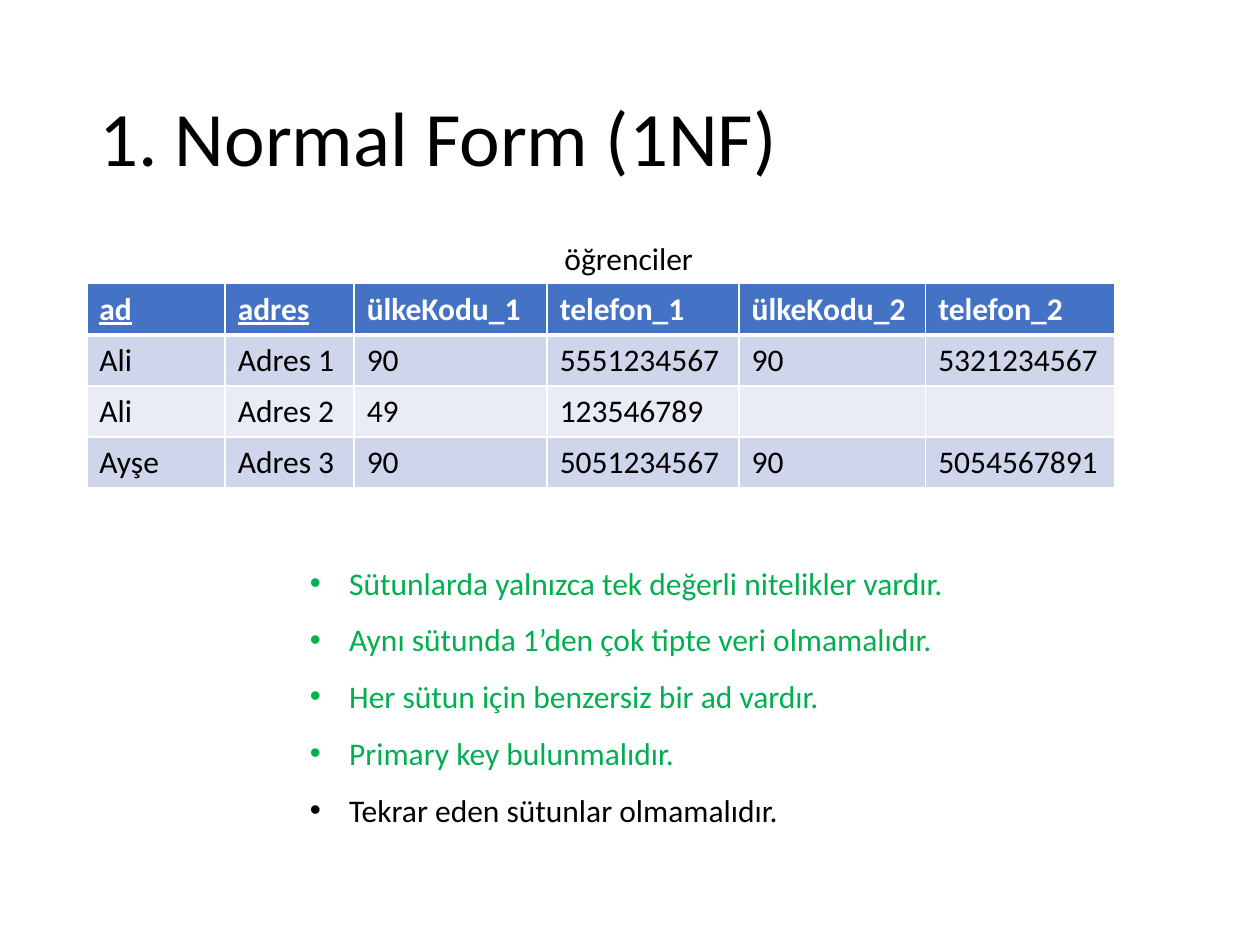
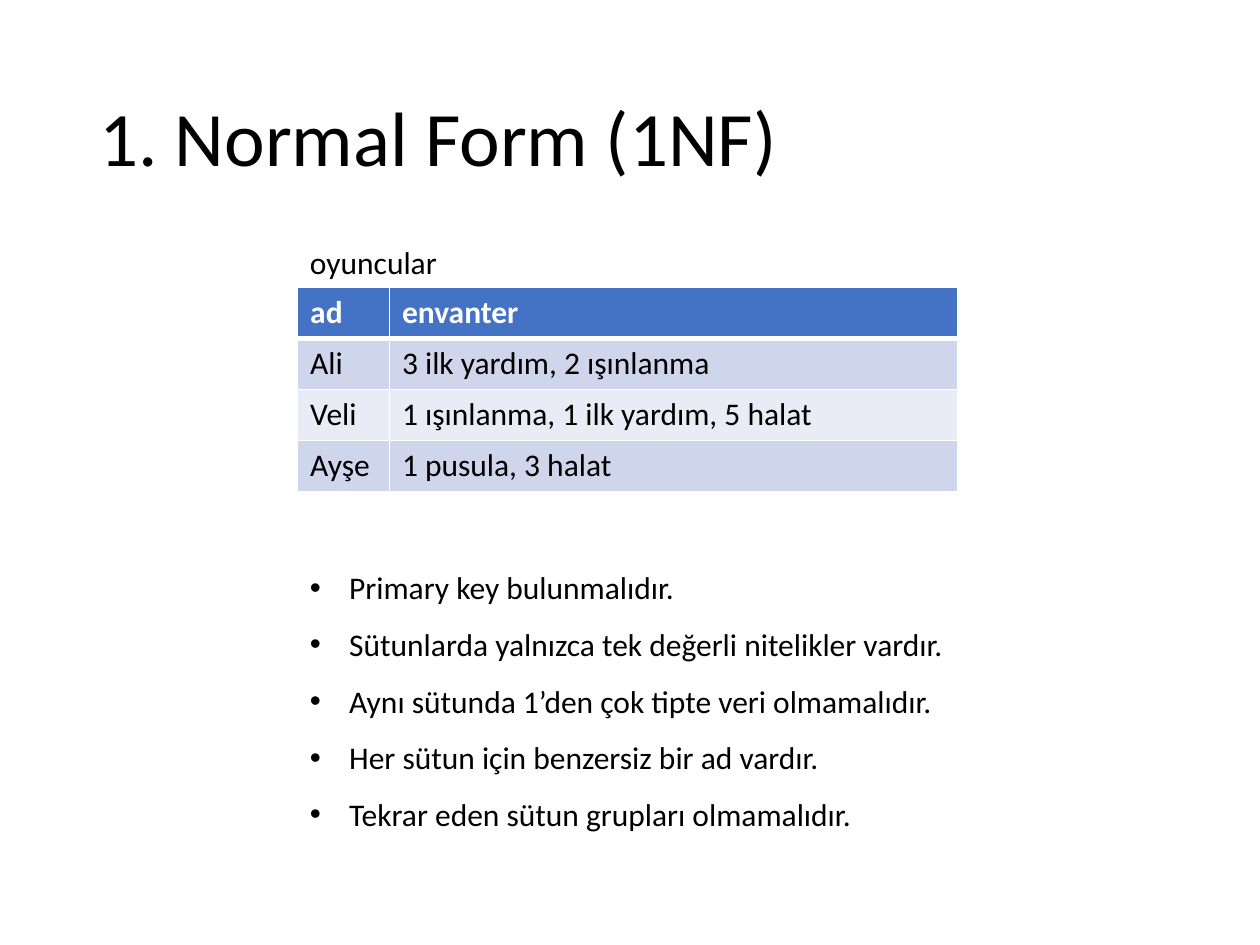
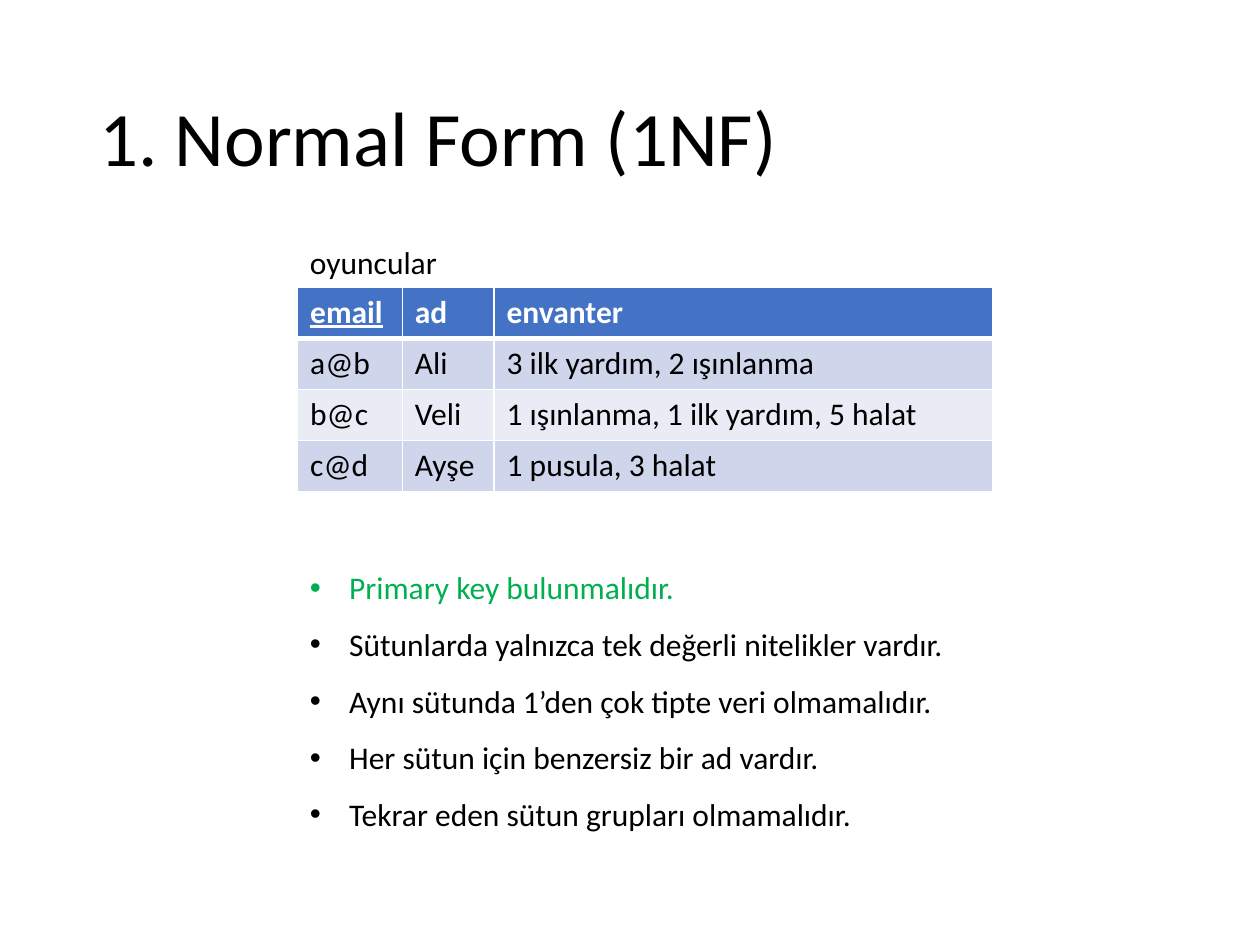
"""Build three slides on the first normal form."""
from dataclasses import dataclass

import lxml.etree
import pptx
import pptx.dml.color
import pptx.enum.text
import pptx.oxml.ns
import pptx.util

Cm = pptx.util.Cm
Pt = pptx.util.Pt


@dataclass(frozen=True)
class Theme:
    font: str = "Calibri"
    title_size: int = 44
    body_size: int = 18
    text: str = "000000"
    done: str = "00B050"
    light: str = "FFFFFF"
    header: str = "4472C4"
    bands: tuple = ("CFD5EA", "E9EBF5")
    thin: int = 1
    thick: int = 3


THEME = Theme()


def rgb(color):
    return pptx.dml.color.RGBColor.from_string(color)


def add_child(parent, tag, **attrs):
    child = lxml.etree.SubElement(parent, pptx.oxml.ns.qn(tag))
    for name, value in attrs.items():
        child.set(name, str(value))
    return child


def write(p, text, *, size=THEME.body_size, color=THEME.text, bold=False,
          underline=False, spacing=None, bullet=None):
    if bullet:
        pPr = p._p.get_or_add_pPr()
        pPr.set("marL", str(Cm(0.79)))
        pPr.set("indent", str(-Cm(0.79)))
        add_child(pPr, "a:buFont", typeface="Arial")
        add_child(pPr, "a:buChar", char=bullet)
    if spacing:
        p.line_spacing = spacing
    r = p.add_run()
    r.text = text
    r.font.name = THEME.font
    r.font.size = Pt(size)
    r.font.color.rgb = rgb(color)
    r.font.bold = bold
    r.font.underline = underline


class Deck:
    def __init__(self, theme):
        self.theme = theme
        self.prs = pptx.Presentation()
        self.prs.slide_width, self.prs.slide_height = Cm(25.4), Cm(19.05)
        self.s = None

    def slide(self, title):
        self.s = self.prs.slides.add_slide(self.prs.slide_layouts[6])
        tf = self.textbox(1.75, 1.01, 21.9, 3.68, wrap=True)
        tf.vertical_anchor = pptx.enum.text.MSO_ANCHOR.MIDDLE
        write(tf.paragraphs[0], title, size=self.theme.title_size, spacing=0.9)

    def textbox(self, left, top, width, height, wrap=False):
        sp = self.s.shapes.add_textbox(Cm(left), Cm(top), Cm(width), Cm(height))
        sp.text_frame.word_wrap = wrap
        return sp.text_frame

    def caption(self, text, left, top):
        write(self.textbox(left, top, 3.11, 1.03).paragraphs[0], text)

    def bullets(self, items, top, done=()):
        tf = self.textbox(6, top, 13.41, 5.92)
        for i, item in enumerate(items):
            p = tf.add_paragraph() if i else tf.paragraphs[0]
            color = self.theme.done if item in done else self.theme.text
            write(p, item, color=color, spacing=1.5, bullet="•")

    def borders(self, cell, top, bottom):
        tcPr = cell._tc.get_or_add_tcPr()
        thin = self.theme.thin
        for side, width in zip("LRTB", (thin, thin, top, bottom)):
            ln = add_child(tcPr, f"a:ln{side}", w=Pt(width))
            add_child(add_child(ln, "a:solidFill"), "a:srgbClr", val=self.theme.light)

    def table(self, rows, widths, left, top, keys=()):
        th = self.theme
        row_height = 1.03
        table = self.s.shapes.add_table(
            len(rows), len(widths), Cm(left), Cm(top),
            Cm(sum(widths)), Cm(row_height * len(rows))).table
        for column, width in zip(table.columns, widths):
            column.width = Cm(width)
        for i, values in enumerate(rows):
            is_header = i == 0
            fill = th.header if is_header else th.bands[(i - 1) % 2]
            for j, value in enumerate(values):
                cell = table.cell(i, j)
                self.borders(cell, top=th.thick if i == 1 else th.thin,
                             bottom=th.thick if is_header else th.thin)
                cell.fill.solid()
                cell.fill.fore_color.rgb = rgb(fill)
                if value:
                    write(cell.text_frame.paragraphs[0], value, bold=is_header,
                          color=th.light if is_header else th.text,
                          underline=is_header and value in keys)


TITLE = "1. Normal Form (1NF)"
PRIMARY_KEY = "Primary key bulunmalıdır."
COLUMN_RULES = [
    "Sütunlarda yalnızca tek değerli nitelikler vardır.",
    "Aynı sütunda 1’den çok tipte veri olmamalıdır.",
    "Her sütun için benzersiz bir ad vardır.",
]
STUDENTS = [
    ("ad", "adres", "ülkeKodu_1", "telefon_1", "ülkeKodu_2", "telefon_2"),
    ("Ali", "Adres 1", "90", "5551234567", "90", "5321234567"),
    ("Ali", "Adres 2", "49", "123546789", "", ""),
    ("Ayşe", "Adres 3", "90", "5051234567", "90", "5054567891"),
]
PLAYERS = [
    ("ad", "envanter"),
    ("Ali", "3 ilk yardım, 2 ışınlanma"),
    ("Veli", "1 ışınlanma, 1 ilk yardım, 5 halat"),
    ("Ayşe", "1 pusula, 3 halat"),
]
EMAILS = ["email", "a@b", "b@c", "c@d"]


def students_slide(deck):
    deck.slide(TITLE)
    deck.table(STUDENTS, (2.79, 2.6, 3.89, 3.87, 3.76, 3.81), 1.75, 5.72,
               keys=("ad", "adres"))
    deck.caption("öğrenciler", 11.13, 4.7)
    done = COLUMN_RULES + [PRIMARY_KEY]
    deck.bullets(done + ["Tekrar eden sütunlar olmamalıdır."], 10.86, done)


def players_slide(deck, rows, widths, keys=(), done=()):
    deck.slide(TITLE)
    deck.table(rows, widths, 6, 5.79, keys)
    deck.caption("oyuncular", 6, 4.78)
    rules = [PRIMARY_KEY, *COLUMN_RULES, "Tekrar eden sütun grupları olmamalıdır."]
    deck.bullets(rules, 10.95, done)


def main():
    deck = Deck(THEME)
    students_slide(deck)
    players_slide(deck, PLAYERS, (1.85, 11.46))
    with_email = [(email, *row) for email, row in zip(EMAILS, PLAYERS)]
    players_slide(deck, with_email, (2.11, 1.85, 10.06),
                  keys=("email",), done=(PRIMARY_KEY,))
    deck.prs.save("out.pptx")


if __name__ == "__main__":
    main()
